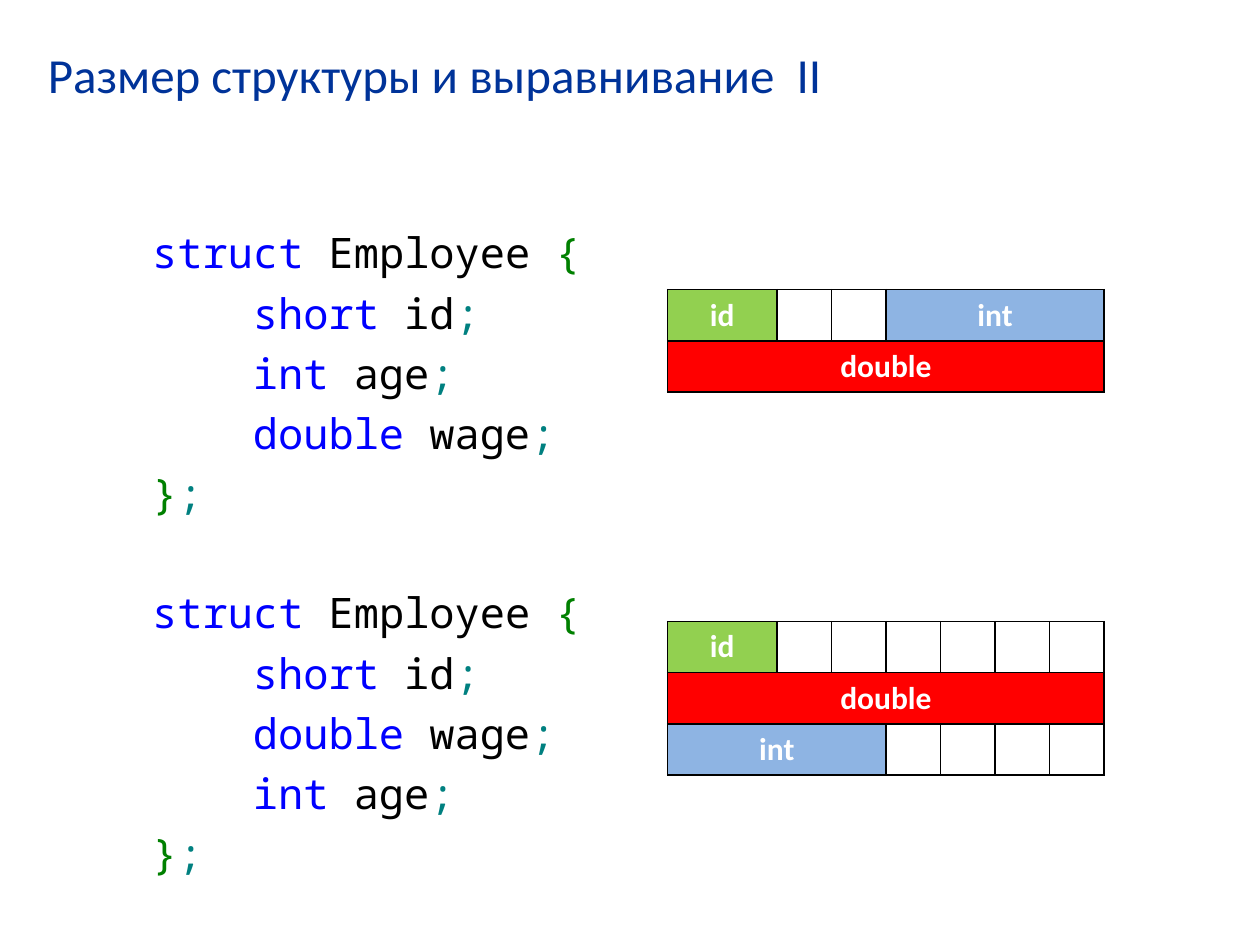
"""Build a slide on structure size and member alignment."""
from lxml import etree
from pptx import Presentation
from pptx.dml.color import RGBColor
from pptx.enum.text import MSO_ANCHOR, MSO_AUTO_SIZE, PP_ALIGN
from pptx.oxml.ns import qn
from pptx.util import Cm, Pt

TOP, MIDDLE = MSO_ANCHOR.TOP, MSO_ANCHOR.MIDDLE
LEFT, CENTER = PP_ALIGN.LEFT, PP_ALIGN.CENTER
NO_FIT = MSO_AUTO_SIZE.NONE

KEYWORD, NAME, BRACE, SEMICOLON = "0000FF", "000000", "008000", "008080"
FILLS = {"id": "92D050", "int": "8EB4E3", "double": "FF0000"}
PAD = ("", 1)


def rgb(code):
    return RGBColor.from_string(code)


class MemorySlide:
    sans, mono = "Calibri", "Noto Sans Mono"
    byte_width, row_height = 1.1, 1.03
    line_gap, struct_gap = Pt(5.6), Pt(39.3)

    def __init__(self, deck):
        self.slide = deck.slides.add_slide(deck.slide_layouts[5])

    def style(self, font, face, size, color=None, bold=False):
        font.name, font.size, font.bold = face, Pt(size), bold
        if color:
            font.color.rgb = rgb(color)

    def title(self, text, left, top, width, height):
        heading = self.slide.shapes.title
        heading.left, heading.top = Cm(left), Cm(top)
        heading.width, heading.height = Cm(width), Cm(height)
        frame = heading.text_frame
        frame.text = text
        frame.auto_size, frame.vertical_anchor = NO_FIT, TOP
        frame.paragraphs[0].alignment = LEFT
        self.style(frame.paragraphs[0].font, self.sans, 28, "003399")

    def code(self, structs, left, top, width, height):
        listing = self.slide.shapes.add_textbox(Cm(left), Cm(top), Cm(width), Cm(height))
        frame = listing.text_frame
        frame.word_wrap = True
        line = frame.paragraphs[0]
        for number, members in enumerate(structs):
            if number:
                line = frame.add_paragraph()
            gap = self.struct_gap if number else self.line_gap
            self.code_line(line, gap, ("struct", KEYWORD), (" Employee ", NAME), ("{", BRACE))
            for kind, member in members:
                line = frame.add_paragraph()
                line._p.get_or_add_pPr().set("marL", str(Cm(2.03)))
                self.code_line(line, self.line_gap, (kind, KEYWORD),
                               (" " + member, NAME), (";", SEMICOLON))
            self.code_line(frame.add_paragraph(), self.line_gap, ("}", BRACE), (";", SEMICOLON))

    def code_line(self, line, gap, *tokens):
        line.space_before = gap
        self.style(line.font, self.mono, 24)
        for text, color in tokens:
            token = line.add_run()
            token.text = text
            token.font.color.rgb = rgb(color)

    def memory_map(self, column_bytes, rows, left, top):
        grid = self.slide.shapes.add_table(
            len(rows), len(column_bytes), Cm(left), Cm(top),
            Cm(self.byte_width * sum(column_bytes)), Cm(self.row_height * len(rows))).table
        grid.first_row = grid.horz_banding = False
        for column, size in zip(grid.columns, column_bytes):
            column.width = Cm(self.byte_width * size)
        for r, fields in enumerate(rows):
            grid.rows[r].height = Cm(self.row_height)
            start = 0
            for label, size in fields:
                end = start + 1
                while sum(column_bytes[start:end]) < size:
                    end += 1
                for c in range(start, end):
                    self.paint(grid.cell(r, c), FILLS.get(label))
                field = grid.cell(r, start)
                if end - start > 1:
                    field.merge(grid.cell(r, end - 1))
                if label:
                    self.label(field, label)
                start = end

    def paint(self, cell, color):
        properties = cell._tc.get_or_add_tcPr()
        for side in ("a:lnL", "a:lnR", "a:lnT", "a:lnB"):
            border = etree.SubElement(properties, qn(side), w=str(Pt(1)))
            solid = etree.SubElement(border, qn("a:solidFill"))
            etree.SubElement(solid, qn("a:srgbClr"), val="000000")
        if color:
            cell.fill.solid()
            cell.fill.fore_color.rgb = rgb(color)
        else:
            cell.fill.background()

    def label(self, cell, text):
        cell.text = text
        cell.vertical_anchor = MIDDLE
        line = cell.text_frame.paragraphs[0]
        line.alignment = CENTER
        self.style(line.font, self.sans, 18, "FFFFFF", bold=True)


def main():
    deck = Presentation()
    deck.slide_width, deck.slide_height = Cm(25.4), Cm(19.05)
    page = MemorySlide(deck)
    page.title("Размер структуры и выравнивание  II", 0.71, 0.76, 24, 2.36)
    short_id, int_age, double_wage = ("short", "id"), ("int", "age"), ("double", "wage")
    page.code([[short_id, int_age, double_wage], [short_id, double_wage, int_age]],
              2.82, 4.45, 22.58, 12.57)
    id_field, int_field, double_field = ("id", 2), ("int", 4), ("double", 8)
    page.memory_map([2, 1, 1, 4], [[id_field, PAD, PAD, int_field], [double_field]], 13.46, 5.84)
    page.memory_map([2] + [1] * 6,
                    [[id_field] + [PAD] * 6, [double_field], [int_field] + [PAD] * 4],
                    13.46, 12.53)
    deck.save("out.pptx")


if __name__ == "__main__":
    main()
